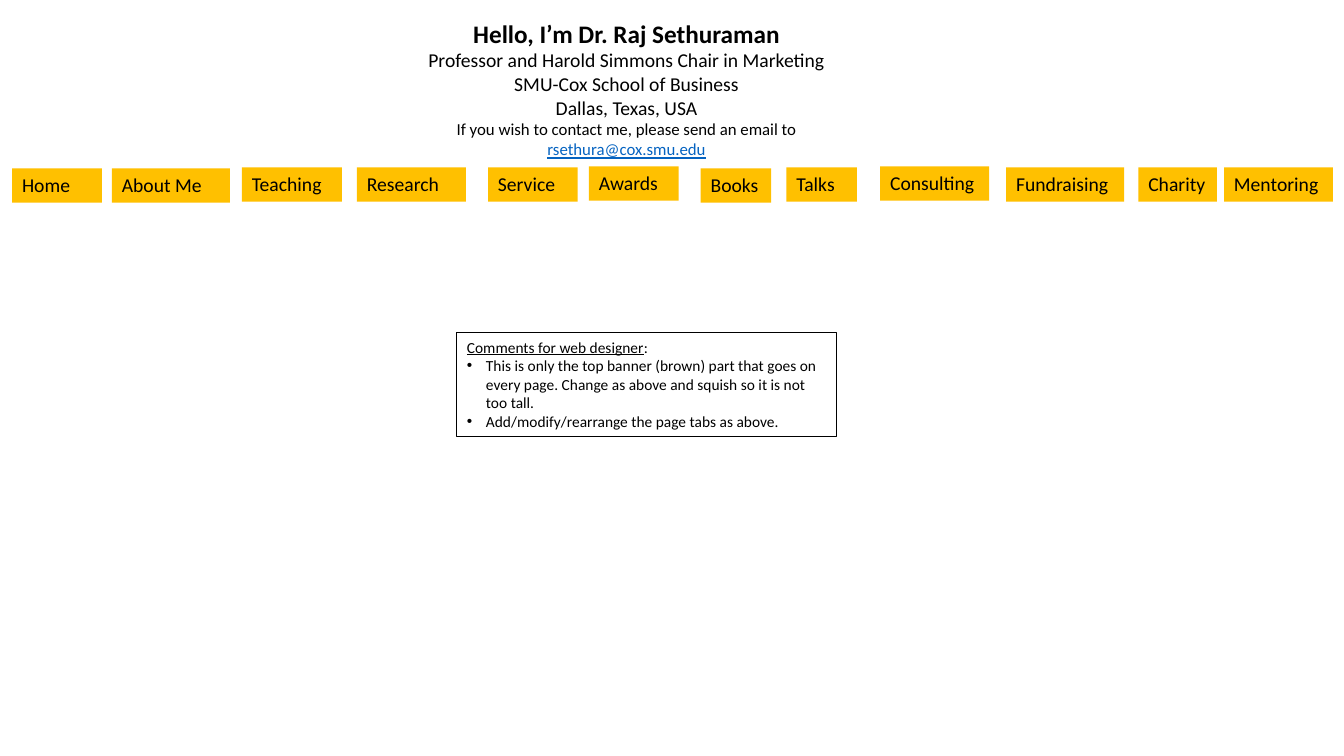
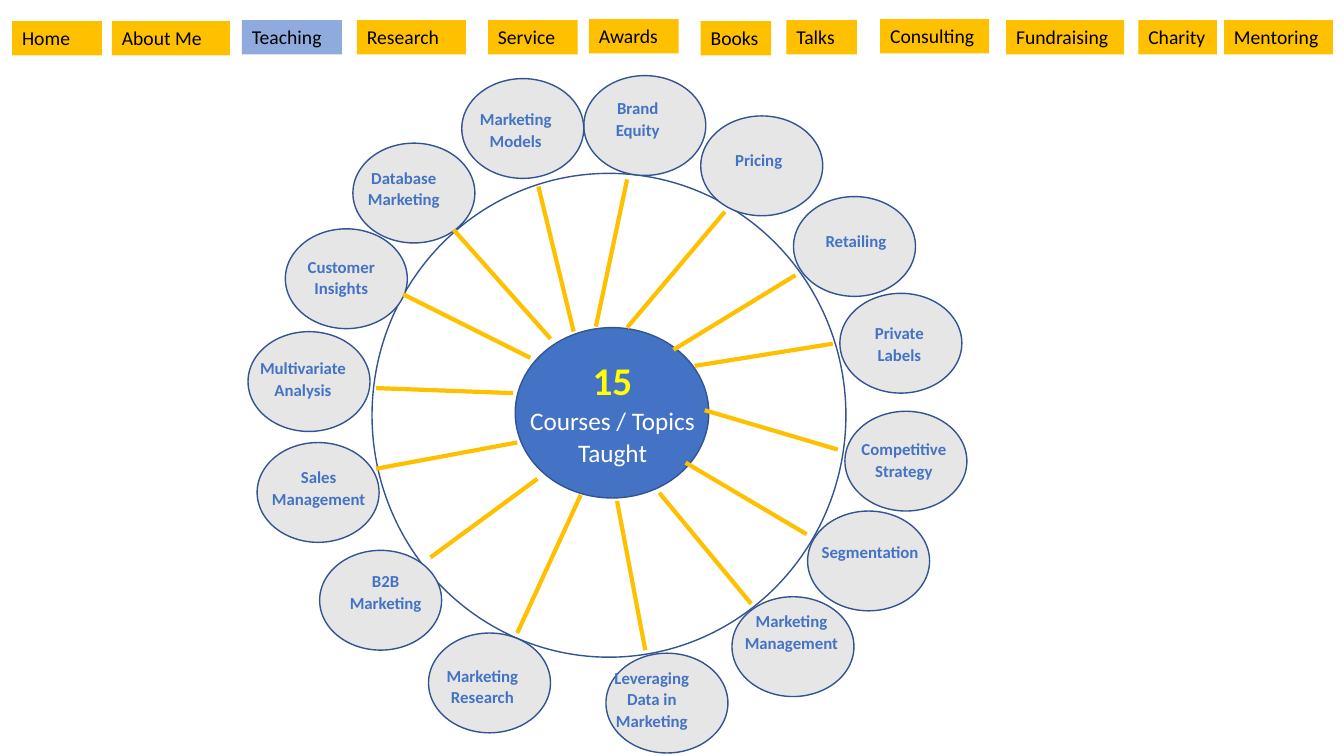
from dataclasses import dataclass

from lxml import etree
from pptx import Presentation
from pptx import util as u
from pptx.dml.color import RGBColor
from pptx.enum import shapes, text
from pptx.oxml.ns import qn


@dataclass(frozen=True)
class Theme:
    font: str = "Calibri"
    black: str = "000000"
    white: str = "FFFFFF"
    gold: str = "FFC000"
    active: str = "8FAADC"
    blue: str = "4472C4"
    outline: str = "325491"
    grey: str = "E7E6E6"
    yellow: str = "FFFF00"
    email: str = "0563C1"
    note: float = 11
    small: float = 12
    tab: float = 14
    heading: float = 18
    number: float = 28


@dataclass(frozen=True)
class Run:
    text: str
    size: float
    color: str = Theme.black
    bold: bool = False
    underline: bool = False


TABS = [
    ("Home", 0.12, 0.89, 0.01),
    ("About Me", 1.11, 1.17, 0.01),
    ("Teaching", 2.4, 0.99, 0),
    ("Research", 3.54, 1.08, 0),
    ("Service", 4.84, 0.89, 0),
    ("Awards", 5.84, 0.89, -0.01),
    ("Books", 6.95, 0.7, 0.01),
    ("Talks", 7.8, 0.7, 0),
    ("Consulting", 8.73, 1.08, -0.01),
    ("Fundraising", 9.98, 1.17, 0),
    ("Charity", 11.29, 0.78, 0),
    ("Mentoring", 12.14, 1.08, 0),
]
TAB_HEIGHT = 0.34

DISC_SIZE = (1.21, 0.99)
TOPICS = [
    ("Brand Equity", (5.79, 0.75), (5.88, 0.91, 0.89, 0.57), (6.22, 1.78, 5.91, 3.24)),
    ("Pricing", (6.95, 1.15), (7.08, 1.42, 0.89, 0.33), (7.19, 2.1, 6.22, 3.25)),
    ("Retailing", (7.87, 1.95), (7.96, 2.23, 1.06, 0.33), (7.89, 2.73, 6.68, 3.47)),
    ("Private Labels", (8.33, 2.91), (8.39, 3.14, 1.06, 0.56), (8.26, 3.41, 6.89, 3.63)),
    ("Competitive Strategy", (8.38, 4.08), (8.41, 4.29, 1.11, 0.56), (8.31, 4.46, 6.99, 4.07)),
    ("Segmentation", (8.01, 5.07), (8.02, 5.31, 1.22, 0.33), (8, 5.3, 6.8, 4.59)),
    ("Marketing Management", (7.26, 5.92), (7.25, 6, 1.2, 0.71), (7.45, 5.99, 6.54, 4.89)),
    ("Leveraging Data in Marketing", (6.01, 6.48), (5.91, 6.56, 1.11, 0.71), (6.4, 6.45, 6.12, 4.97)),
    ("Marketing Research", (4.25, 6.28), (4.23, 6.54, 1.11, 0.52), (5.13, 6.28, 5.76, 4.91)),
    ("B2B Marketing", (3.17, 5.46), (3.27, 5.6, 1.11, 0.5), (4.27, 5.53, 5.33, 4.75)),
    ("Sales Management", (2.55, 4.39), (2.57, 4.57, 1.18, 0.5), (3.73, 4.65, 5.13, 4.39)),
    ("Multivariate Analysis", (2.46, 3.29), (2.45, 3.49, 1.11, 0.52), (3.73, 3.85, 5.09, 3.9)),
    ("Customer Insights", (2.83, 2.27), (2.83, 2.48, 1.11, 0.56), (4, 2.92, 5.26, 3.55)),
    ("Database Marketing", (3.5, 1.42), (3.45, 1.6, 1.11, 0.71), (4.5, 2.28, 5.46, 3.36)),
    ("Marketing Models", (4.58, 0.78), (4.56, 1.02, 1.11, 0.52), (5.34, 1.85, 5.69, 3.29)),
]


class Deck:
    def __init__(self, theme):
        self.theme = theme
        self.prs = Presentation()
        self.prs.slide_width = u.Inches(13.33)
        self.prs.slide_height = u.Inches(7.5)
        self.s = None

    def slide(self, layout):
        self.s = self.prs.slides.add_slide(self.prs.slide_layouts.get_by_name(layout))

    def add_text(self, sp, paragraphs, align=text.PP_ALIGN.CENTER, spacing=1.0):
        tf = sp.text_frame
        tf.word_wrap = True
        tf.auto_size = text.MSO_AUTO_SIZE.NONE
        tf.vertical_anchor = text.MSO_ANCHOR.TOP
        for i, runs in enumerate(paragraphs):
            p = tf.add_paragraph() if i else tf.paragraphs[0]
            p.alignment = align
            p.line_spacing = spacing
            p.space_before = u.Pt(0)
            for run in runs:
                r = p.add_run()
                r.text = run.text
                r.font.name = self.theme.font
                r.font.size = u.Pt(run.size)
                r.font.bold = run.bold
                r.font.underline = run.underline
                r.font.color.rgb = RGBColor.from_string(run.color)

    def place(self, sp, box):
        sp.left, sp.top, sp.width, sp.height = map(u.Inches, box)
        self.s.shapes._spTree.append(sp._element)

    def title(self, box, paragraphs, spacing=1.0):
        sp = self.s.shapes.title
        self.place(sp, box)
        self.add_text(sp, paragraphs, spacing=spacing)

    def comments(self, box, heading, bullets):
        sp = self.s.placeholders[1]
        self.place(sp, box)
        sp.line.color.rgb = RGBColor.from_string(self.theme.black)
        sp.line.width = u.Pt(0.75)
        self.add_text(sp, [heading] + bullets, text.PP_ALIGN.LEFT)
        for i, p in enumerate(sp.text_frame.paragraphs):
            indent = u.Inches(0.19 if i else 0)
            pPr = p._p.get_or_add_pPr()
            pPr.set("marL", str(indent))
            pPr.set("indent", str(-indent))
            if i:
                etree.SubElement(pPr, qn("a:buFont")).set("typeface", "Arial")
                etree.SubElement(pPr, qn("a:buChar")).set("char", "•")
            else:
                etree.SubElement(pPr, qn("a:buNone"))

    def shape(self, kind, box, fill=None, line=None):
        sp = self.s.shapes.add_shape(kind, *map(u.Inches, box))
        sp.shadow.inherit = False
        if fill:
            sp.fill.solid()
            sp.fill.fore_color.rgb = RGBColor.from_string(fill)
        else:
            sp.fill.background()
        if line:
            sp.line.color.rgb = RGBColor.from_string(line)
            sp.line.width = u.Pt(1)
        else:
            sp.line.fill.background()
        return sp

    def ellipse(self, box, fill=None):
        return self.shape(shapes.MSO_SHAPE.OVAL, box, fill, self.theme.outline)

    def label(self, box, words):
        t = self.theme
        sp = self.s.shapes.add_textbox(*map(u.Inches, box))
        self.add_text(sp, [[Run(words, t.small, t.blue, bold=True)]], spacing=1.07)

    def spoke(self, ends):
        line = self.s.shapes.add_connector(
            shapes.MSO_CONNECTOR.STRAIGHT, *map(u.Inches, ends))
        line.line.color.rgb = RGBColor.from_string(self.theme.gold)
        line.line.width = u.Pt(3)
        etree.SubElement(line._element.spPr, qn("a:effectLst"))

    def tabs(self, top, current=None):
        t = self.theme
        for name, left, width, shift in TABS:
            fill = t.active if name == current else t.gold
            box = (left, top + shift, width, TAB_HEIGHT)
            sp = self.shape(shapes.MSO_SHAPE.RECTANGLE, box, fill)
            self.add_text(sp, [[Run(name, t.tab)]], text.PP_ALIGN.LEFT)


def banner_slide(deck):
    t = deck.theme
    deck.slide("Title and Content")
    deck.tabs(1.66)
    deck.title((2.88, 0.13, 6.67, 1.51), [
        [Run("Hello, I’m Dr. Raj Sethuraman", t.heading, bold=True)],
        [Run("Professor and Harold Simmons Chair in Marketing", t.tab)],
        [Run("SMU-Cox School of Business", t.tab)],
        [Run("Dallas, Texas, USA", t.tab)],
        [Run("If you wish to contact me, please send an email to", t.small)],
        [Run("rsethura@cox.smu.edu", t.small, t.email, underline=True)],
    ])
    deck.comments(
        (4.53, 3.3, 3.77, 1.03),
        [Run("Comments for web designer", t.note, underline=True), Run(":", t.note)],
        [
            [Run("This is only the top banner (brown) part that goes on every page. "
                 "Change as above and squish so it is not too tall.", t.note)],
            [Run("Add/modify/rearrange the page tabs as above.", t.note)],
        ])


def teaching_slide(deck):
    t = deck.theme
    deck.slide("Title Only")
    deck.ellipse((3.69, 1.72, 4.7, 4.8))
    deck.ellipse((5.11, 3.25, 1.92, 1.69), t.blue)
    deck.title((5.15, 3.45, 1.85, 1.34), [
        [Run("15", t.number, t.yellow, bold=True)],
        [Run("Courses / Topics", t.heading, t.white)],
        [Run("Taught", t.heading, t.white)],
    ], spacing=1.07)
    for words, corner, label_box, spoke_ends in TOPICS:
        deck.ellipse(corner + DISC_SIZE, t.grey)
        deck.label(label_box, words)
        deck.spoke(spoke_ends)
    deck.tabs(0.2, current="Teaching")


def main():
    deck = Deck(Theme())
    banner_slide(deck)
    teaching_slide(deck)
    deck.prs.save("out.pptx")


if __name__ == "__main__":
    main()
